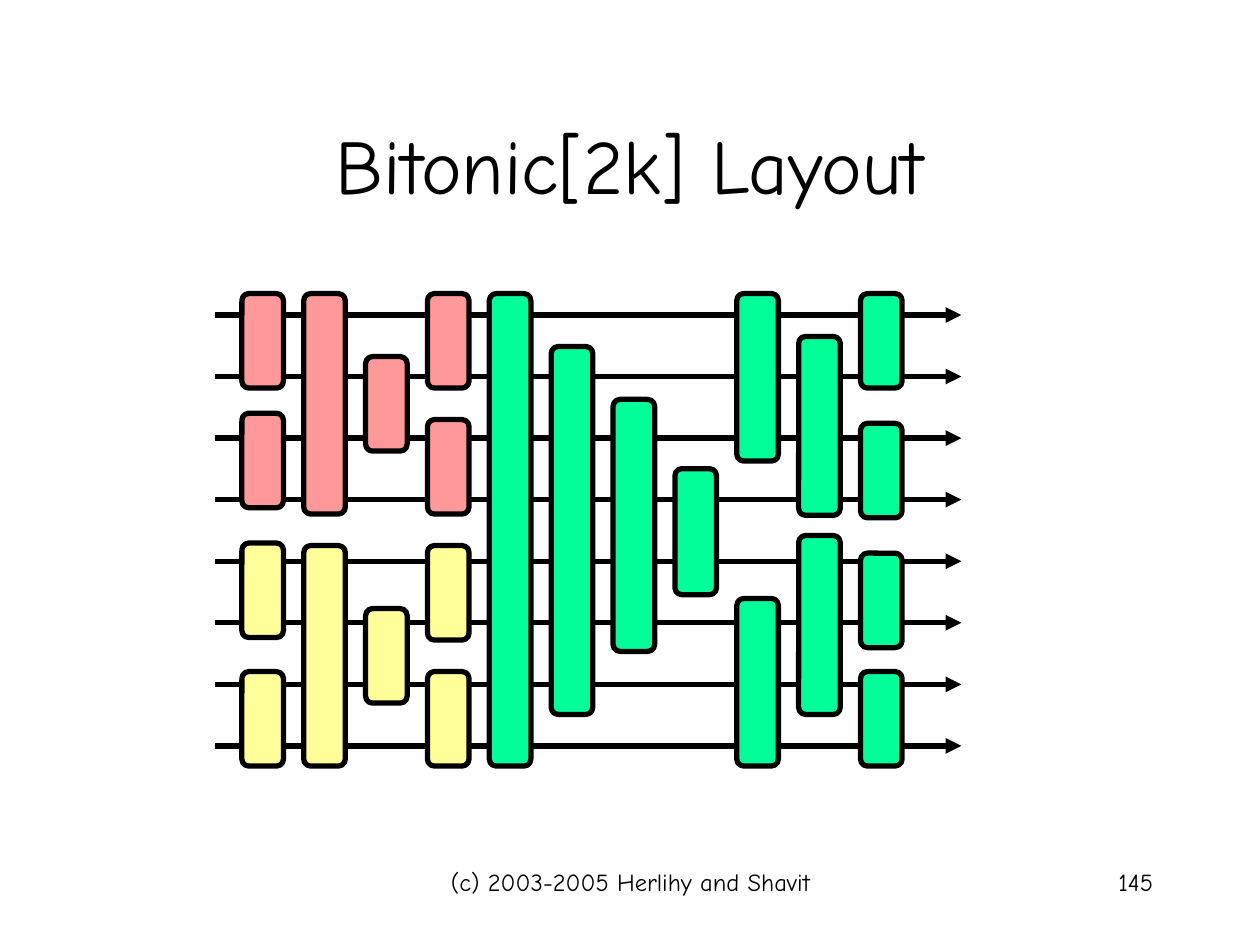
from lxml import etree
from pptx import Presentation
from pptx.dml.color import RGBColor
from pptx.enum.shapes import MSO_CONNECTOR, MSO_SHAPE
from pptx.enum.text import MSO_ANCHOR, PP_ALIGN
from pptx.oxml.ns import qn
from pptx.util import Inches, Pt

STRAIGHT = MSO_CONNECTOR.STRAIGHT
ROUNDED = MSO_SHAPE.ROUNDED_RECTANGLE
TOP, MIDDLE = MSO_ANCHOR.TOP, MSO_ANCHOR.MIDDLE
CENTER, RIGHT = PP_ALIGN.CENTER, PP_ALIGN.RIGHT
BLACK = RGBColor(0x00, 0x00, 0x00)
PINK = RGBColor(0xFF, 0x99, 0x99)
YELLOW = RGBColor(0xFF, 0xFF, 0x99)
GREEN = RGBColor(0x00, 0xFF, 0x99)
FONT = "Comic Neue"

prs = Presentation()
prs.slide_width, prs.slide_height = Inches(10), Inches(7.5)
slide = prs.slides.add_slide(prs.slide_layouts[6])
shapes = slide.shapes


def add_text(text, left, top, width, height, size, align, anchor):
    box = shapes.add_textbox(Inches(left), Inches(top), Inches(width), Inches(height))
    frame = box.text_frame
    frame.word_wrap = True
    frame.vertical_anchor = anchor
    frame.text = text
    para = frame.paragraphs[0]
    para.alignment = align
    font = para.runs[0].font
    font.name, font.size = FONT, Pt(size)
    font.color.rgb = BLACK


# Title
add_text("Bitonic[2k] Layout", 0.75, 0.67, 8.5, 1.25, 44, CENTER, MIDDLE)

# Eight wires with arrowheads
for row in range(8):
    y = Inches(2.5 + row * 3.42 / 7)
    wire = shapes.add_connector(STRAIGHT, Inches(1.71), y, Inches(7.63), y)
    wire.line.color.rgb = BLACK
    wire.line.width = Pt(3)
    etree.SubElement(wire.line._get_or_add_ln(), qn("a:tailEnd"), type="triangle")
    etree.SubElement(wire._element.spPr, qn("a:effectLst"))

# Balancers: column, height, then the top and colour of each one
columns = [
    (0, 0.75, [(2.33, PINK), (3.28, PINK), (4.31, YELLOW), (5.33, YELLOW)]),
    (1, 1.75, [(2.33, PINK), (4.33, YELLOW)]),
    (2, 0.75, [(2.83, PINK), (4.83, YELLOW)]),
    (3, 0.75, [(2.33, PINK), (3.33, PINK), (4.33, YELLOW), (5.33, YELLOW)]),
    (4, 3.75, [(2.33, GREEN)]),
    (5, 2.92, [(2.75, GREEN)]),
    (6, 2, [(3.17, GREEN)]),
    (7, 1, [(3.72, GREEN)]),
    (8, 1.33, [(2.33, GREEN), (4.75, GREEN)]),
    (9, 1.42, [(2.67, GREEN), (4.25, GREEN)]),
    (10, 0.75, [(2.33, GREEN), (3.36, GREEN), (4.39, GREEN), (5.33, GREEN)]),
]
for col, height, stack in columns:
    left = Inches(1.92 + col * 4.91 / 10)
    for top, color in stack:
        block = shapes.add_shape(ROUNDED, left, Inches(top), Inches(0.33), Inches(height))
        block.shadow.inherit = False
        block.fill.solid()
        block.fill.fore_color.rgb = color
        block.line.color.rgb = BLACK
        block.line.width = Pt(3)

# Footer and slide number
add_text("(c) 2003-2005 Herlihy and Shavit", 3.42, 6.83, 3.17, 0.5, 14, CENTER, TOP)
add_text("145", 7.17, 6.83, 2.08, 0.5, 14, RIGHT, TOP)

prs.save("out.pptx")
